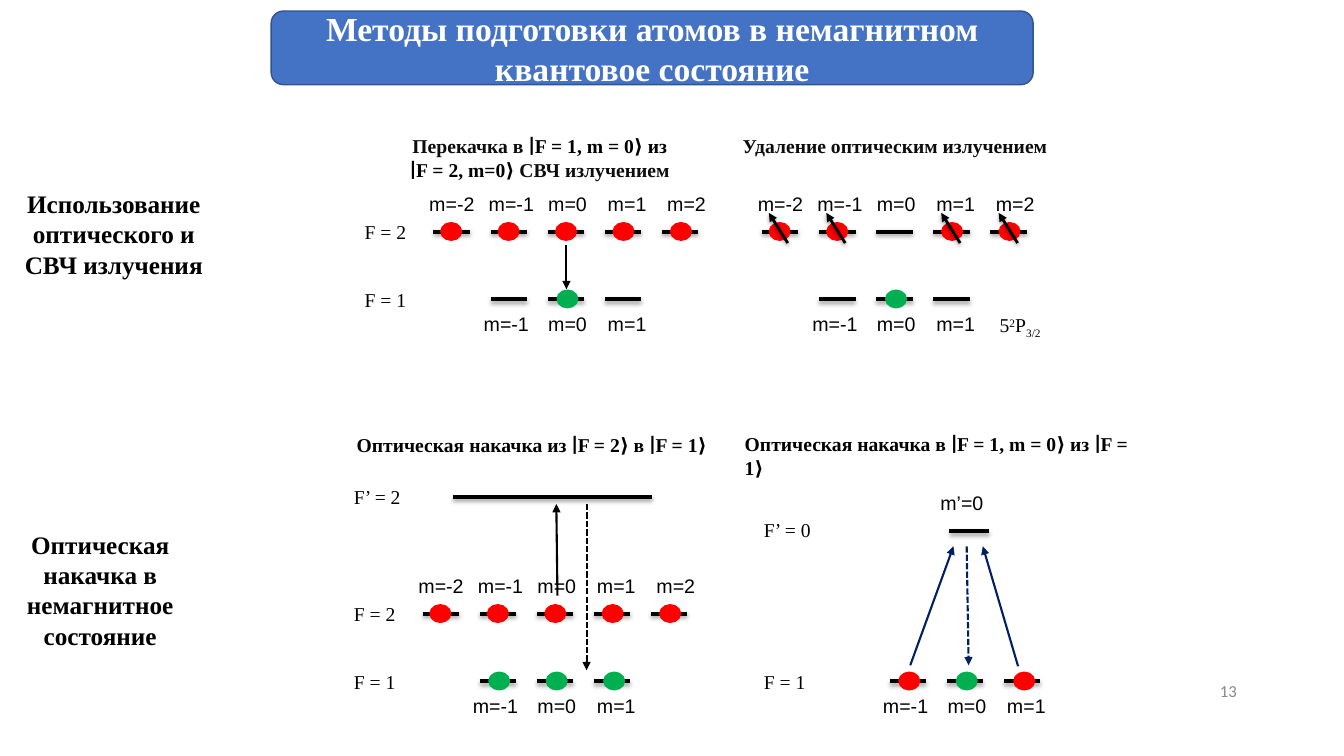
"""Builds the slide on preparing atoms in a non-magnetic quantum state."""
from dataclasses import dataclass

from lxml.etree import SubElement
from pptx import Presentation
from pptx.dml.color import RGBColor
from pptx.enum.dml import MSO_LINE
from pptx.enum.shapes import MSO_CONNECTOR, MSO_SHAPE
from pptx.enum.text import MSO_ANCHOR, MSO_AUTO_SIZE, PP_ALIGN
from pptx.oxml.ns import qn
from pptx.util import Pt


@dataclass(frozen=True)
class Theme:
    """Colours, fonts and type sizes of the slide."""
    serif: str = "Times New Roman"
    sans: str = "Arial"
    plain: str = "Calibri"
    black: str = "000000"
    heading: str = "0D0D0D"
    white: str = "FFFFFF"
    banner: str = "4472C4"
    banner_edge: str = "31538F"
    red: str = "FF0000"
    green: str = "00B050"
    navy: str = "002060"
    grey: str = "888888"
    title_size: int = 24
    method_size: int = 18
    label_size: int = 14
    number_size: int = 12


theme = Theme()

TITLE = "Методы подготовки атомов в немагнитном квантовое состояние"
BANNER = (193.7, 7.9, 544.3, 52.6)
METHODS = [
    ("Использование оптического и СВЧ излучения", (5, 131, 152.6, 72.7)),
    ("Оптическая накачка в немагнитное состояние", (-13.7, 374.4, 170.6, 94.3)),
]
HEADINGS = [
    ([("Перекачка в ", theme.heading), ("∣F = 1, m = 0⟩ из ∣F = 2, m=0⟩ ", theme.black),
      ("СВЧ излучением", theme.heading)], (280.1, 92.2, 211, 41), PP_ALIGN.CENTER),
    ([("Удаление оптическим излучением", theme.heading)],
     (514.1, 92.2, 250.6, 24.5), PP_ALIGN.CENTER),
    ([("Оптическая накачка из ∣F = 2⟩ в ∣F = 1⟩", theme.black)],
     (247.7, 306, 268.6, 24.5), PP_ALIGN.LEFT),
    ([("Оптическая накачка в ∣F = 1, m = 0⟩ из ∣F = 1⟩", theme.black)],
     (524.9, 305.3, 304, 24.5), PP_ALIGN.LEFT),
]
ALL_STATES = (-2, -1, 0, 1, 2)
INNER_STATES = (-1, 0, 1)
SIDE_STATES = (-2, -1, 1, 2)
PANELS = [
    {"at": (0, 0), "upper": ALL_STATES, "upper_red": ALL_STATES, "lower_green": (0,),
     "names": [("F = 2", 165.6, 108.7), ("F = 1", 213.8, 53.3)]},
    {"at": (234.7, 0), "upper": ALL_STATES, "upper_red": SIDE_STATES,
     "lower_green": (0,), "removed": SIDE_STATES},
    {"at": (-7.7, 272.9), "upper": ALL_STATES, "upper_red": ALL_STATES,
     "lower_green": INNER_STATES,
     "names": [("F’ = 2", 82.1, 73.4), ("F = 2", 165.6, 108.7), ("F = 1", 213.8, 53.3)]},
    {"at": (285.2, 272.9), "lower_red": (-1, 1), "lower_green": (0,),
     "names": [("F’ = 0", 105.4, 73.4), ("F = 1", 213.8, 53.3)]},
]
EXCITED_LEVELS = [(323.3, 465.8, 355), (678.2, 706.3, 379.4)]
ARROWS = [
    (404.6, 175, 404.6, 206.6, theme.black, False),
    (398.2, 425.5, 397.4, 360, theme.black, False),
    (419, 360, 419, 478.8, theme.black, True),
    (650.2, 475.2, 681.1, 390.2, theme.navy, False),
    (727.2, 475.9, 702, 390.2, theme.navy, False),
    (690.5, 390.2, 691.9, 475.2, theme.navy, True),
]
TERM = [("5", 0), ("2", 30000), ("P", 0), ("3/2", -25000)]

UPPER, LOWER = 165.6, 213.8
LEVEL_LEFT, LEVEL_STEP, LEVEL_WIDTH = 309.6, 40.8, 26
LABEL_LEFT, LABEL_STEP = 299.5, 42.5
DOT_LEFT, DOT_STEP, DOT_SIZE = 315.4, 41.04, (13.7, 11.5)
NAME_LEFT, TEXT_HEIGHT = 253.4, 24.5

deck = Presentation()
deck.slide_width, deck.slide_height = Pt(960), Pt(540)
page = deck.slides.add_slide(deck.slide_layouts[5])


def style(span, color, size=theme.label_size, font=theme.serif, bold=False):
    """Format one run."""
    span.font.name, span.font.size, span.font.bold = font, Pt(size), bold
    span.font.color.rgb = RGBColor.from_string(color)


def add_text(spans, place, align=PP_ALIGN.LEFT, **look):
    """Add a wrapping text box of (text, colour) runs."""
    box = page.shapes.add_textbox(*map(Pt, place))
    box.text_frame.word_wrap = True
    para = box.text_frame.paragraphs[0]
    para.alignment = align
    for text, color in spans:
        span = para.add_run()
        span.text = text
        style(span, color, **look)
    return box


def add_line(ends, width, color=theme.black, arrow=False, dashed=False, shadow=None):
    """Add a straight line; shadow is (opacity percent, distance)."""
    line = page.shapes.add_connector(MSO_CONNECTOR.STRAIGHT, *map(Pt, ends))
    line.line.width = Pt(width)
    line.line.color.rgb = RGBColor.from_string(color)
    if dashed:
        line.line.dash_style = MSO_LINE.SQUARE_DOT
    properties = line._element.spPr
    if arrow:
        SubElement(properties.find(qn("a:ln")), qn("a:tailEnd"), type="triangle")
    effects = SubElement(properties, qn("a:effectLst"))
    if shadow:
        opacity, distance = shadow
        outer = SubElement(effects, qn("a:outerShdw"), blurRad=str(Pt(3.1)),
                           dist=str(Pt(distance)), dir="5400000", rotWithShape="0")
        tint = SubElement(outer, qn("a:srgbClr"), val=theme.black)
        SubElement(tint, qn("a:alpha"), val=str(opacity * 1000))


def add_filled(kind, place, fill, edge, width):
    """Add a flat preset shape."""
    shape = page.shapes.add_shape(kind, *map(Pt, place))
    shape.shadow.inherit = False
    shape.fill.solid()
    shape.fill.fore_color.rgb = RGBColor.from_string(fill)
    shape.line.color.rgb = RGBColor.from_string(edge)
    shape.line.width = Pt(width)


def add_level(left, right, y):
    """Add one energy level."""
    add_line((left, y, right, y), 3, shadow=(35, 1.8))


def add_state_label(text, left, top, width=70.6):
    """Add the label of a magnetic sublevel."""
    add_text([(text, theme.black)], (left, top, width, TEXT_HEIGHT), font=theme.sans)


def add_dots(states, left, y, color):
    """Add the atoms that occupy the given sublevels."""
    for m in states:
        place = (left + DOT_STEP * (m + 2), y - 6, *DOT_SIZE)
        add_filled(MSO_SHAPE.OVAL, place, color, color, 2)


def add_panel(panel):
    """Draw one level scheme."""
    dx, dy = panel["at"]
    upper, lower = UPPER + dy, LOWER + dy
    for states, y, label_top in ((panel.get("upper", ()), upper, upper - 32.4),
                                 (INNER_STATES, lower, lower + 5.5)):
        for m in states:
            left = LEVEL_LEFT + dx + LEVEL_STEP * (m + 2)
            add_level(left, left + LEVEL_WIDTH, y)
            shift = 3.6 if y == lower and m == -1 else 0
            add_state_label(f"m={m}", LABEL_LEFT + dx + LABEL_STEP * (m + 2) - shift,
                            label_top, 42.5 if m == 2 else 70.6)
    for name, y, width in panel.get("names", ()):
        add_text([(name, theme.black)], (NAME_LEFT + dx, y + dy - 12, width, TEXT_HEIGHT))
    add_dots(panel.get("upper_red", ()), DOT_LEFT + dx, upper, theme.red)
    add_dots(panel.get("lower_red", ()), DOT_LEFT + dx + 1, lower, theme.red)
    add_dots(panel.get("lower_green", ()), DOT_LEFT + dx + 1, lower, theme.green)
    for m in panel.get("removed", ()):
        left = DOT_LEFT + dx + DOT_STEP * (m + 2)
        add_line((left + 12.6, upper + 8, left - 0.9, upper - 13.5), 2,
                 arrow=True, shadow=(38, 1.6))


add_filled(MSO_SHAPE.ROUNDED_RECTANGLE, BANNER, theme.banner, theme.banner_edge, 1)
title = page.shapes.title
title.left, title.top, title.width, title.height = map(Pt, BANNER)
title.text_frame.text = TITLE
title.text_frame.word_wrap = True
title.text_frame.auto_size = MSO_AUTO_SIZE.NONE
title.text_frame.vertical_anchor = MSO_ANCHOR.MIDDLE
title.text_frame.paragraphs[0].alignment = PP_ALIGN.CENTER
style(title.text_frame.paragraphs[0].runs[0], theme.white, theme.title_size, bold=True)
page.shapes._spTree.append(title._element)

for text, place in METHODS:
    add_text([(text, theme.black)], place, PP_ALIGN.CENTER, size=theme.method_size, bold=True)
for spans, place, align in HEADINGS:
    add_text(spans, place, align, bold=True)
for left, right, y in EXCITED_LEVELS:
    add_level(left, right, y)
for panel in PANELS:
    add_panel(panel)
add_state_label("m’=0", 664.6, 347)
for *ends, color, dashed in ARROWS:
    add_line(ends, 1.5, color, arrow=True, dashed=dashed)
term = add_text([(text, theme.black) for text, _ in TERM], (707, 220.3, 64.8, TEXT_HEIGHT))
for span, (_, baseline) in zip(term.text_frame.paragraphs[0].runs, TERM):
    span._r.get_or_add_rPr().set("baseline", str(baseline))
number = add_text([("13", theme.grey)], (674.6, 478.8, 216, 28.8), PP_ALIGN.RIGHT,
                  size=theme.number_size, font=theme.plain)
number.text_frame.vertical_anchor = MSO_ANCHOR.MIDDLE

deck.save("out.pptx")
